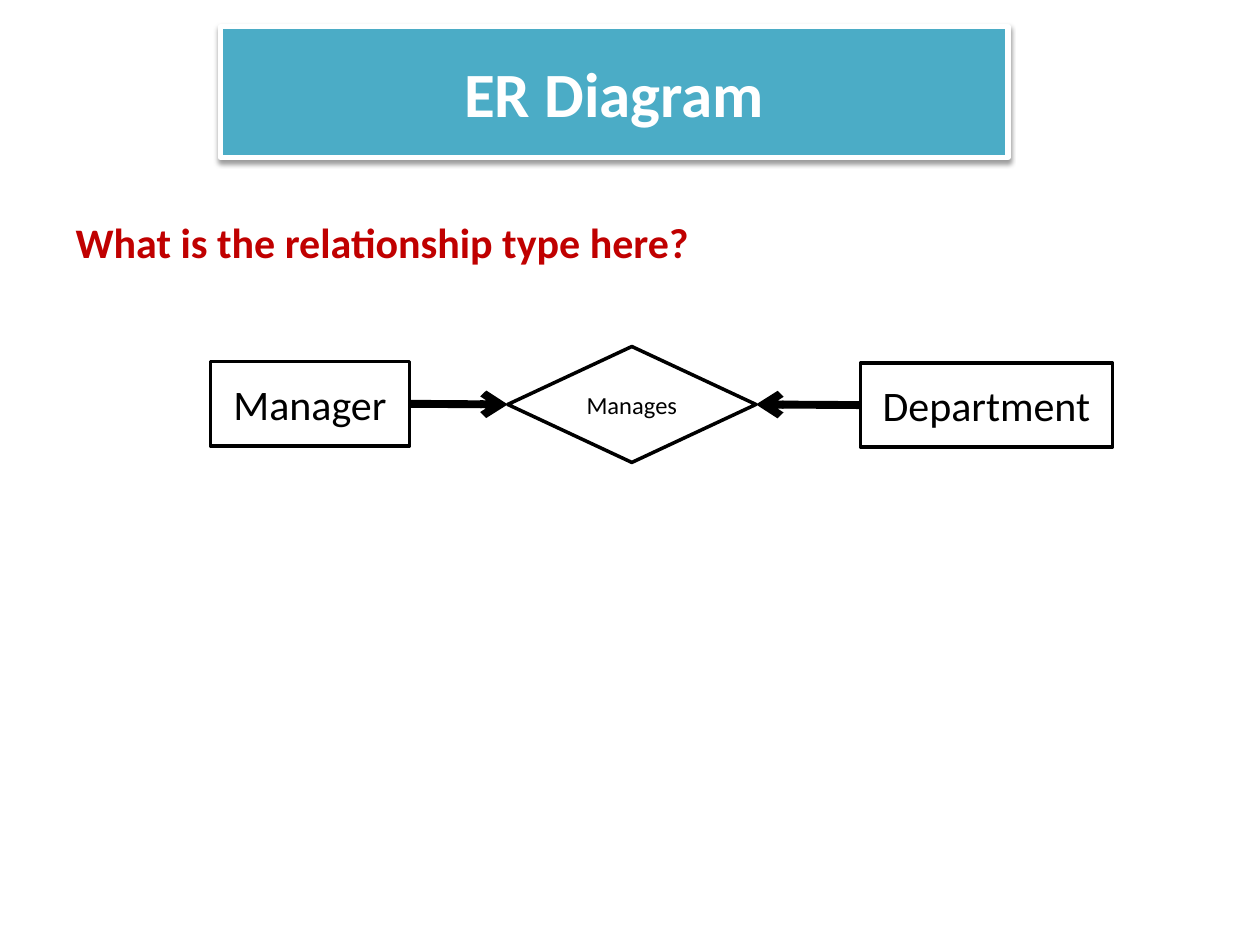
from dataclasses import dataclass

from lxml import etree
from pptx import Presentation
from pptx.dml.color import RGBColor
from pptx.enum.shapes import MSO_CONNECTOR, MSO_SHAPE
from pptx.enum.text import MSO_ANCHOR, MSO_AUTO_SIZE, PP_ALIGN
from pptx.oxml.ns import qn
from pptx.util import Inches, Pt

RECT, DIAMOND = MSO_SHAPE.RECTANGLE, MSO_SHAPE.DIAMOND
STRAIGHT = MSO_CONNECTOR.STRAIGHT
LEFT, CENTER = PP_ALIGN.LEFT, PP_ALIGN.CENTER
TOP, MIDDLE = MSO_ANCHOR.TOP, MSO_ANCHOR.MIDDLE
LEFT_SITE, RIGHT_SITE = 1, 3
FONT = "Calibri"
COLORS = {"teal": "4BACC6", "white": "FFFFFF", "black": "000000", "red": "C00000"}


@dataclass
class Node:
    text: str
    kind: int
    left: float
    top: float
    width: float
    height: float
    size: int = 24


NODES = [
    Node("Manager", RECT, 1.67, 2.87, 1.58, 0.67),
    Node("Department", RECT, 6.83, 2.88, 2, 0.67),
    Node("Manages", DIAMOND, 4.03, 2.75, 1.97, 0.92, size=14),
]


def rgb(name: str) -> RGBColor:
    return RGBColor.from_string(COLORS[name])


def place(s, left: float, top: float, width: float, height: float) -> None:
    s.left, s.top = Inches(left), Inches(top)
    s.width, s.height = Inches(width), Inches(height)


def paint(s, fill: str, line: str, weight: float) -> None:
    s.fill.solid()
    s.fill.fore_color.rgb = rgb(fill)
    s.line.color.rgb = rgb(line)
    s.line.width = Pt(weight)
    s.shadow.inherit = False


def write(s, text: str, *, size: int, color: str = "black", bold: bool = False,
          align=CENTER, anchor=MIDDLE):
    tf = s.text_frame
    tf.word_wrap = True
    tf.auto_size = MSO_AUTO_SIZE.NONE
    tf.vertical_anchor = anchor
    p = tf.paragraphs[0]
    p.alignment = align
    r = p.add_run()
    r.text = text
    r.font.name = FONT
    r.font.size = Pt(size)
    r.font.bold = bold
    r.font.color.rgb = rgb(color)
    return p


def add_title(s, text: str) -> None:
    place(s, 1.75, 0.21, 6.25, 1.04)
    geom = etree.SubElement(s.element.spPr, qn("a:prstGeom"), prst="roundRect")
    etree.SubElement(geom, qn("a:avLst"))
    paint(s, "teal", "white", 3)
    effects = s.element.spPr.find(qn("a:effectLst"))
    shadow = etree.SubElement(effects, qn("a:outerShdw"), blurRad=str(Pt(3.1)),
                              dist=str(Pt(1.6)), dir="5400000", rotWithShape="0")
    color = etree.SubElement(shadow, qn("a:srgbClr"), val=COLORS["black"])
    etree.SubElement(color, qn("a:alpha"), val="38000")
    write(s, text, size=36, color="white", bold=True)


def add_question(s, text: str) -> None:
    place(s, 0.5, 1.67, 9, 5.33)
    p = write(s, text, size=24, color="red", bold=True, align=LEFT, anchor=TOP)
    pPr = p._p.get_or_add_pPr()
    pPr.set("marL", "0")
    pPr.set("indent", "0")
    etree.SubElement(pPr, qn("a:buNone"))


def add_node(slide, node: Node):
    s = slide.shapes.add_shape(node.kind, 0, 0, 0, 0)
    place(s, node.left, node.top, node.width, node.height)
    paint(s, "white", "black", 2)
    write(s, node.text, size=node.size)
    return s


def add_arrow(slide, start, start_site: int, end, end_site: int) -> None:
    c = slide.shapes.add_connector(STRAIGHT, 0, 0, 0, 0)
    c.begin_connect(start, start_site)
    c.end_connect(end, end_site)
    c.line.color.rgb = rgb("black")
    c.line.width = Pt(4.5)
    etree.SubElement(c.line._get_or_add_ln(), qn("a:tailEnd"), type="arrow")
    etree.SubElement(c._element.spPr, qn("a:effectLst"))


def main() -> None:
    prs = Presentation()
    prs.slide_width, prs.slide_height = Inches(10), Inches(7.5)
    slide = prs.slides.add_slide(prs.slide_layouts[1])
    add_title(slide.shapes.title, "ER Diagram")
    add_question(slide.placeholders[1], "What is the relationship type here?")
    manager, department, manages = [add_node(slide, node) for node in NODES]
    add_arrow(slide, manager, RIGHT_SITE, manages, LEFT_SITE)
    add_arrow(slide, department, LEFT_SITE, manages, RIGHT_SITE)
    prs.save("out.pptx")


if __name__ == "__main__":
    main()
